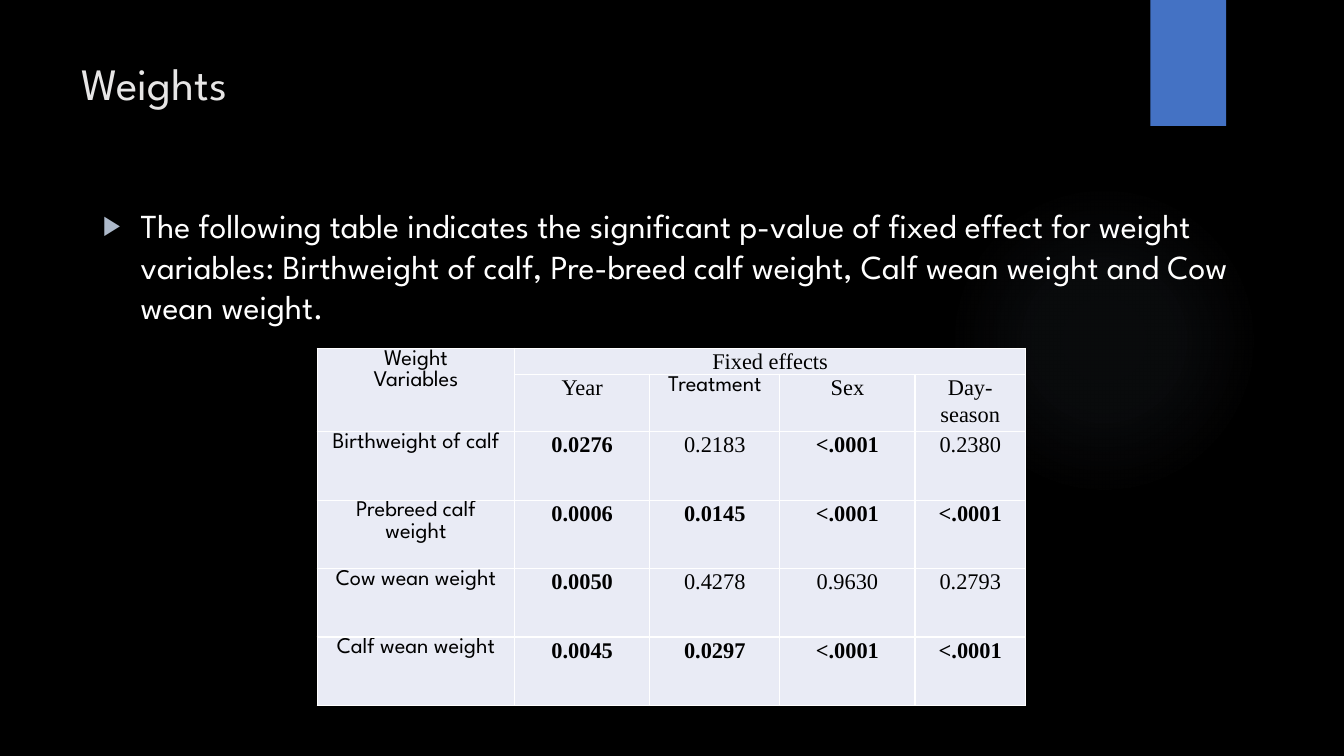
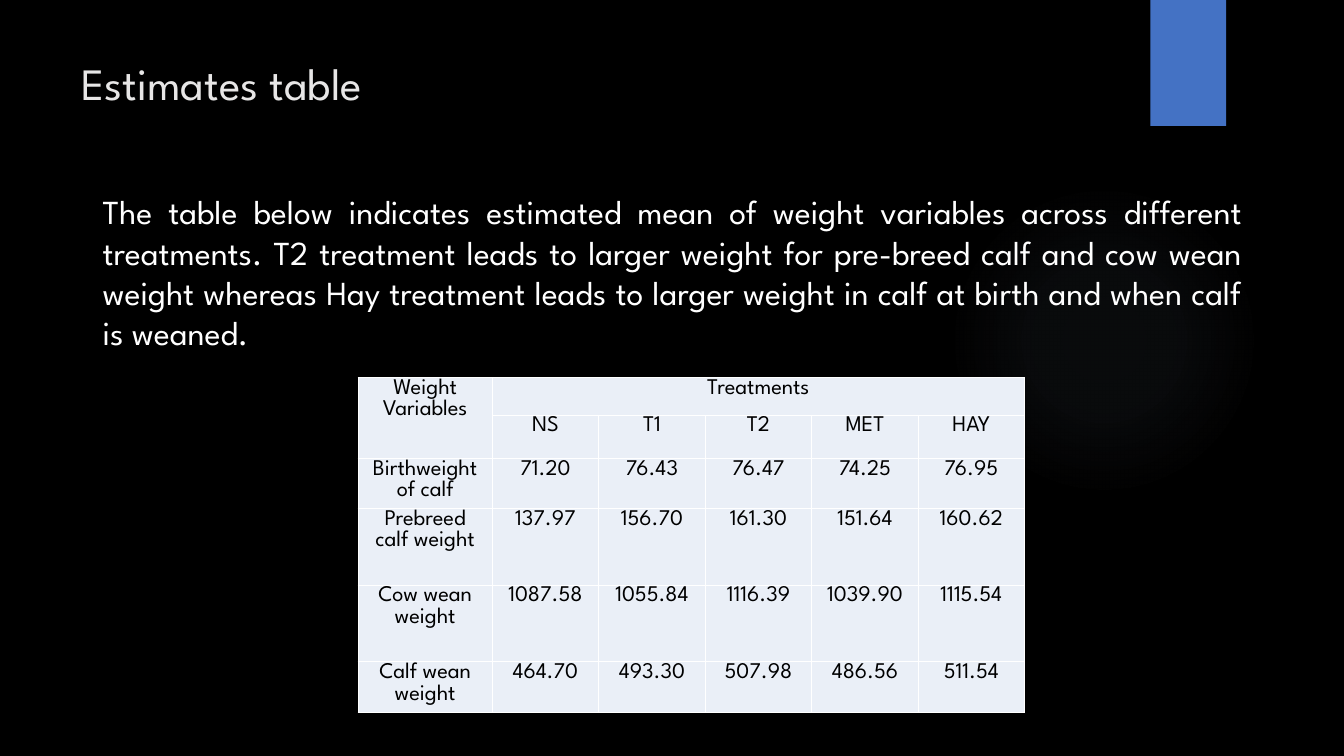
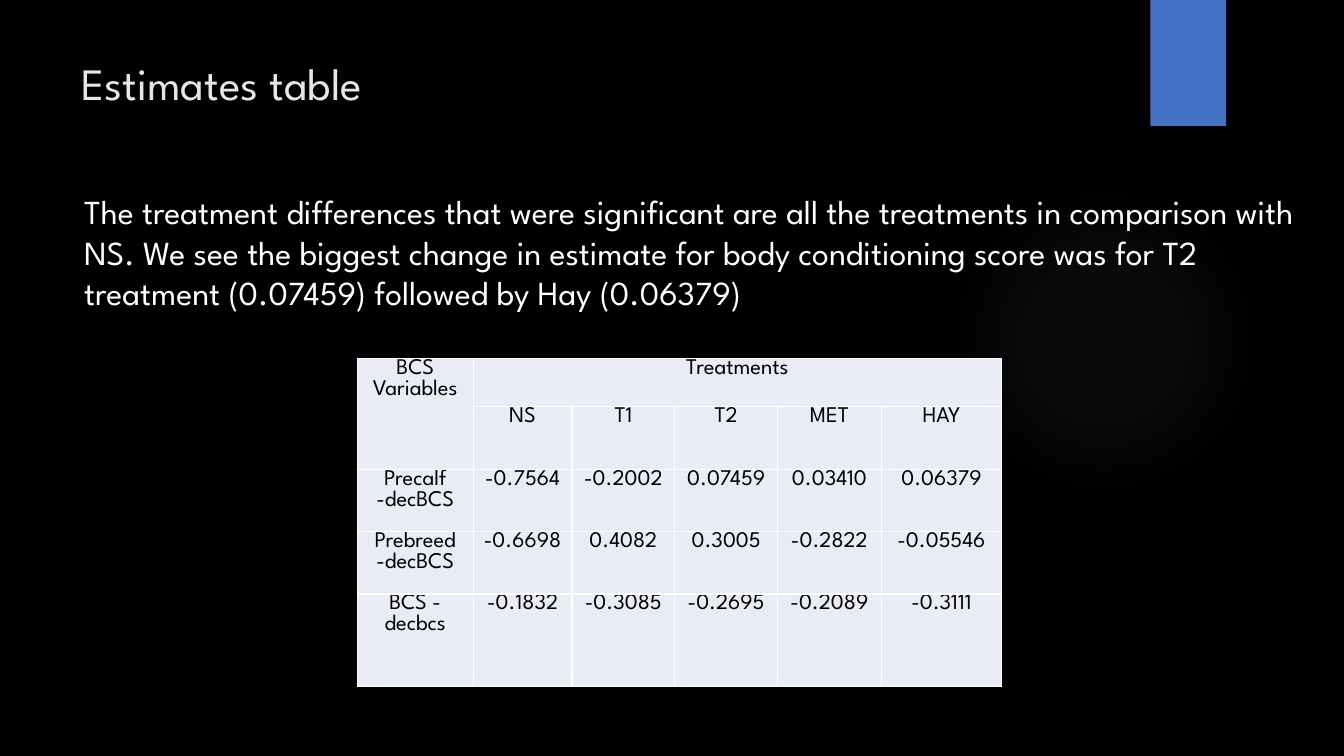
from lxml import etree
from pptx import Presentation
from pptx.dml.color import RGBColor
from pptx.enum import shapes, text
from pptx.oxml import parse_xml
from pptx.oxml.ns import nsdecls, qn
from pptx.util import Pt

COLOURS = {
    "background": "000000", "band": "4472C4", "glow": "8497B0",
    "title": "E7E6E6", "body": "FFFFFF", "bullet": "ADB9CA",
    "cell text": "000000", "border": "FFFFFF",
    "lavender": "E9EBF5", "ice": "EAEFF7",
}
SANS, SERIF = "League Spartan", "Times New Roman"
ALIGN = text.PP_ALIGN
TREATMENTS = ["NS", "T1", "T2", "MET", "HAY"]

SLIDES = [
    {
        "title": "Weights",
        "body": "The following table indicates the significant p-value of fixed effect for "
                "weight variables: Birthweight of calf, Pre-breed calf weight, Calf wean "
                "weight and Cow wean weight.",
        "body box": (66.25, 143, 828, 386.5), "bullet": True, "align": ALIGN.LEFT,
        "table at": (226.6, 249), "fill": "lavender", "spacing": 1.05, "p values": True,
        "columns": [141, 96.5, 93, 96.5, 79],
        "heights": [18.5, 40.7, 48.9, 48.9, 48.9, 48.9],
        "rows": [
            ["Weight\nVariables", "Fixed effects", "", "", ""],
            ["", "Year", "Treatment", "Sex", "Day-season"],
            ["Birthweight of calf", "0.0276", "0.2183", "<.0001", "0.2380"],
            ["Prebreed calf weight", "0.0006", "0.0145", "<.0001", "<.0001"],
            ["Cow wean weight", "0.0050", "0.4278", "0.9630", "0.2793"],
            ["Calf wean weight", "0.0045", "0.0297", "<.0001", "<.0001"],
        ],
    },
    {
        "title": "Estimates table",
        "body": "The table below indicates estimated mean of weight variables across "
                "different treatments. T2 treatment leads to larger weight for pre-breed "
                "calf and cow wean weight whereas Hay treatment leads to larger weight in "
                "calf at birth and when calf is weaned.",
        "body box": (66.25, 133, 828, 124), "bullet": False, "align": ALIGN.JUSTIFY,
        "table at": (255.8, 269.8), "fill": "ice", "spacing": Pt(15.4), "p values": False,
        "columns": [95.8, 76.1, 76.1, 76.1, 76.1, 75.8],
        "heights": [26.8, 31, 35.8, 54.7, 54.7, 36.2],
        "rows": [
            ["Weight\nVariables", "Treatments", "", "", "", ""],
            ["", *TREATMENTS],
            ["Birthweight of calf", "71.20", "76.43", "76.47", "74.25", "76.95"],
            ["Prebreed calf weight", "137.97", "156.70", "161.30", "151.64", "160.62"],
            ["Cow wean weight", "1087.58", "1055.84", "1116.39", "1039.90", "1115.54"],
            ["Calf wean weight", "464.70", "493.30", "507.98", "486.56", "511.54"],
        ],
    },
    {
        "title": "Estimates table",
        "body": "The treatment differences that were significant are all the treatments in "
                "comparison with NS. We see the biggest change in estimate for body "
                "conditioning score was for T2 treatment (0.07459) followed by Hay (0.06379)",
        "body box": (53, 133, 907, 94.5), "bullet": False, "align": ALIGN.LEFT,
        "table at": (255.2, 256), "fill": "lavender", "spacing": 1.02, "p values": False,
        "columns": [82.8, 70.6, 73.4, 73.4, 74.2, 85.9],
        "heights": [34.5, 44.6, 44.6, 44.6, 66.2],
        "rows": [
            ["BCS\nVariables", "Treatments", "", "", "", ""],
            ["", *TREATMENTS],
            ["Precalf -decBCS", "-0.7564", "-0.2002", "0.07459", "0.03410", "0.06379"],
            ["Prebreed -decBCS", "-0.6698", "0.4082", "0.3005", "-0.2822", "-0.05546"],
            ["BCS - decbcs", "-0.1832", "-0.3085", "-0.2695", "-0.2089", "-0.3111"],
        ],
    },
]


def write(frame, content, size=16, colour="cell text", font=SANS, bold=False,
          align=ALIGN.LEFT, spacing=1.0, bullet=False):
    """Fill a text frame, one paragraph for each line of content."""
    frame.word_wrap = True
    for index, line in enumerate(content.split("\n")):
        paragraph = frame.add_paragraph() if index else frame.paragraphs[0]
        if bullet:
            properties = paragraph._p.get_or_add_pPr()
            properties.set("marL", str(Pt(27)))
            properties.set("indent", str(-Pt(27)))
            for xml in (f'<a:buClr {nsdecls("a")}><a:srgbClr val="{COLOURS["bullet"]}"/></a:buClr>',
                        f'<a:buSzPct {nsdecls("a")} val="80000"/>',
                        f'<a:buChar {nsdecls("a")} char="▶"/>'):
                properties.append(parse_xml(xml))
        paragraph.alignment = align
        paragraph.line_spacing = spacing
        paragraph.space_before = Pt(0)
        run = paragraph.add_run()
        run.text = line
        run.font.size = Pt(size)
        run.font.name = font
        run.font.bold = bold
        run.font.color.rgb = RGBColor.from_string(COLOURS[colour])


def place(shape, left, top, width, height):
    shape.left, shape.top = Pt(left), Pt(top)
    shape.width, shape.height = Pt(width), Pt(height)


presentation = Presentation()
presentation.slide_width, presentation.slide_height = Pt(960), Pt(540)
master = presentation.slide_master
master.background.fill.solid()
master.background.fill.fore_color.rgb = RGBColor.from_string(COLOURS["background"])

for number, content in enumerate(SLIDES):
    layout = presentation.slide_layouts[1 if content["bullet"] else 5]
    slide = presentation.slides.add_slide(layout)

    if number == 0:
        # The glow and the band are drawn once and moved to the master
        glow = slide.shapes.add_shape(shapes.MSO_SHAPE.OVAL, Pt(677.5), Pt(132), Pt(222), Pt(222))
        band = slide.shapes.add_shape(shapes.MSO_SHAPE.RECTANGLE, Pt(821.75), 0, Pt(54), Pt(90))
        band.fill.solid()
        band.fill.fore_color.rgb = RGBColor.from_string(COLOURS["band"])
        stops = "".join(
            f'<a:gs pos="{position}000"><a:srgbClr val="{COLOURS["glow"]}">'
            f'<a:alpha val="{alpha}000"/></a:srgbClr></a:gs>'
            for position, alpha in ((0, 7), (36, 6), (69, 0), (100, 0)))
        glow.element.spPr.find(qn("a:prstGeom")).addnext(parse_xml(
            f'<a:gradFill {nsdecls("a")}><a:gsLst>{stops}</a:gsLst><a:path path="circle">'
            '<a:fillToRect l="50000" t="50000" r="50000" b="50000"/></a:path></a:gradFill>'))
        for position, shape in enumerate((glow, band), start=2):
            shape.shadow.inherit = False
            shape.line.fill.background()
            master.shapes.element.insert(position, shape.element)

    title = slide.shapes.title
    place(title, 51, 36, 741, 110)
    title.text_frame.auto_size = text.MSO_AUTO_SIZE.NONE
    title.text_frame.vertical_anchor = text.MSO_ANCHOR.TOP
    write(title.text_frame, content["title"], size=32, colour="title")

    if content["bullet"]:
        body = slide.placeholders[1]
        place(body, *content["body box"])
        body.text_frame.auto_size = text.MSO_AUTO_SIZE.NONE
    else:
        body = slide.shapes.add_textbox(*map(Pt, content["body box"]))
    write(body.text_frame, content["body"], size=24, colour="body",
          align=content["align"], bullet=content["bullet"])

    rows, columns, heights = content["rows"], content["columns"], content["heights"]
    table = slide.shapes.add_table(
        len(rows), len(columns), *map(Pt, content["table at"]),
        Pt(sum(columns)), Pt(sum(heights))).table
    table.first_row = table.horz_banding = False
    for column, width in zip(table.columns, columns):
        column.width = Pt(width)
    for row, height in zip(table.rows, heights):
        row.height = Pt(height)
    table.cell(0, 0).merge(table.cell(1, 0))
    table.cell(0, 1).merge(table.cell(0, len(columns) - 1))

    for r, values in enumerate(rows):
        for c, value in enumerate(values):
            cell = table.cell(r, c)
            cell.margin_left = cell.margin_right = Pt(5.4)
            cell.margin_top = cell.margin_bottom = 0
            for side in ("lnL", "lnR", "lnT", "lnB"):
                border = etree.SubElement(cell._tc.get_or_add_tcPr(), qn(f"a:{side}"), w=str(Pt(1)))
                fill = etree.SubElement(border, qn("a:solidFill"))
                etree.SubElement(fill, qn("a:srgbClr"), val=COLOURS["border"])
            cell.fill.solid()
            cell.fill.fore_color.rgb = RGBColor.from_string(COLOURS[content["fill"]])
            if value:
                serif = content["p values"] and c > 0 and value != "Treatment"
                significant = serif and r > 1 and float(value.strip("<")) < 0.05
                write(cell.text_frame, value, font=SERIF if serif else SANS, bold=significant,
                      align=ALIGN.CENTER, spacing=content["spacing"])

presentation.save("out.pptx")
